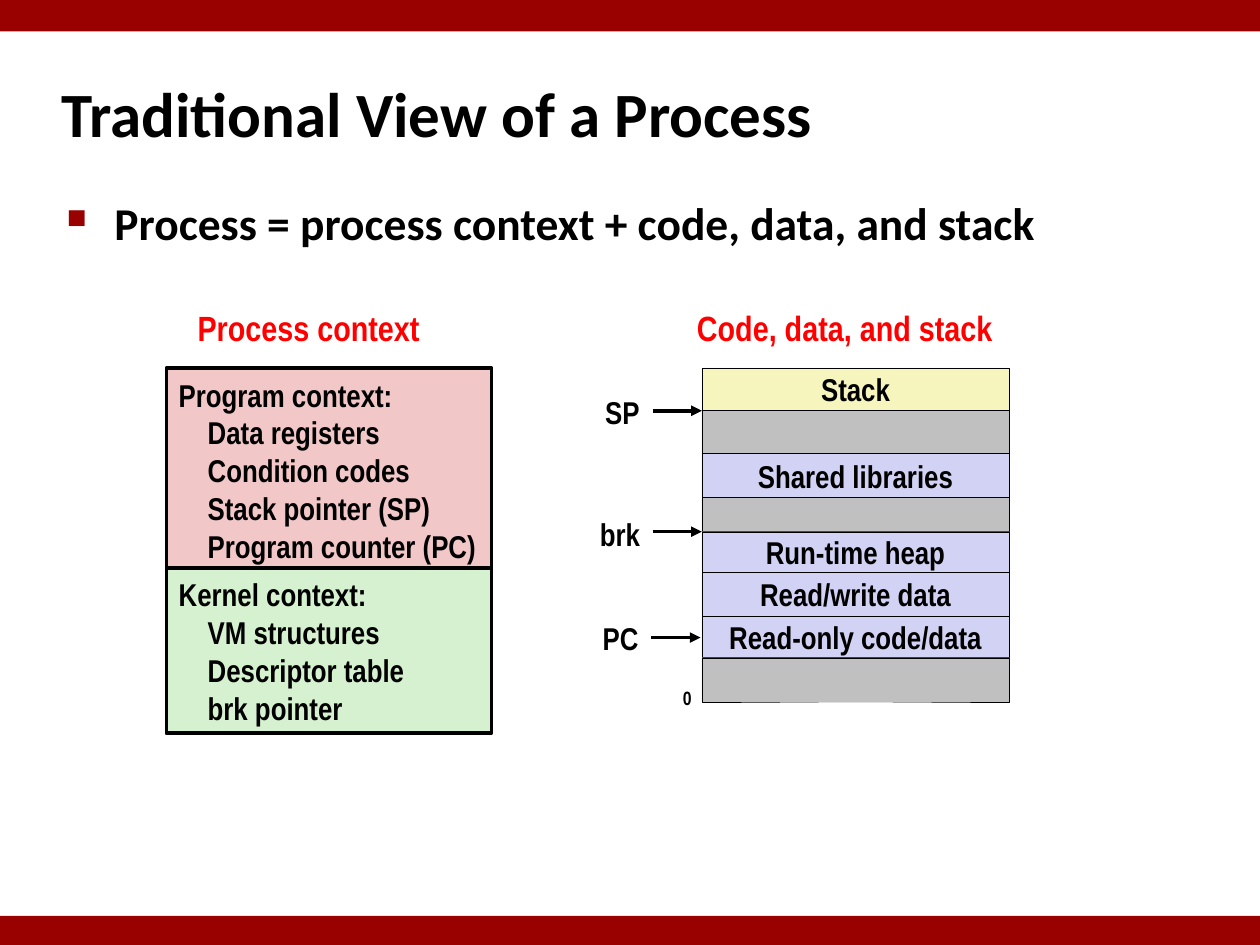
from pptx import Presentation
from pptx.dml.color import RGBColor
from pptx.enum.shapes import MSO_CONNECTOR, MSO_SHAPE
from pptx.enum.text import MSO_ANCHOR, MSO_AUTO_SIZE, PP_ALIGN
from pptx.util import Inches, Pt
from pptx.oxml import parse_xml
from pptx.oxml.ns import nsdecls
from lxml import etree


def write(shape, lines, size, font="Arial Narrow", color="000000",
          align=PP_ALIGN.CENTER, anchor=MSO_ANCHOR.MIDDLE, wrap=False):
    frame = shape.text_frame
    frame.text = "\n".join(lines)
    frame.word_wrap = wrap
    frame.auto_size = MSO_AUTO_SIZE.NONE
    frame.vertical_anchor = anchor
    for paragraph in frame.paragraphs:
        paragraph.alignment = align
        paragraph.font.name = font
        paragraph.font.size = Pt(size)
        paragraph.font.bold = True
        paragraph.font.color.rgb = RGBColor.from_string(color)


def add_box(left, top, width, height, fill, line_width=None):
    shape = slide.shapes.add_shape(
        MSO_SHAPE.RECTANGLE, Inches(left), Inches(top), Inches(width), Inches(height))
    shape.shadow.inherit = False
    shape.fill.solid()
    shape.fill.fore_color.rgb = RGBColor.from_string(fill)
    if line_width:
        shape.line.color.rgb = RGBColor.from_string("000000")
        shape.line.width = Pt(line_width)
    else:
        shape.line.fill.background()
    return shape


presentation = Presentation()
presentation.slide_width = Inches(10)
presentation.slide_height = Inches(7.5)
slide = presentation.slides.add_slide(presentation.slide_layouts[5])

for top, height in [(0, 0.25), (7.27, 0.23)]:
    add_box(0, top, 10, height, "990000")

title = slide.shapes.title
title.left, title.top = Inches(0.39), Inches(0.48)
title.width, title.height = Inches(8.3), Inches(0.83)
write(title, ["Traditional View of a Process"], 36, "Calibri",
      align=PP_ALIGN.LEFT, wrap=True)

body = slide.shapes.add_textbox(Inches(0.43), Inches(1.5), Inches(8.64), Inches(5.44))
body.text_frame.text = "Process = process context + code, data, and stack"
properties = body.text_frame.paragraphs[0]._p.get_or_add_pPr()
properties.set("marL", str(Inches(0.38)))
properties.set("indent", str(-Inches(0.38)))
for bullet in ['<a:buClr %s><a:srgbClr val="990000"/></a:buClr>',
               '<a:buSzPct %s val="60000"/>',
               '<a:buChar %s char="■"/>']:
    properties.append(parse_xml(bullet % nsdecls("a")))
paragraph = body.text_frame.paragraphs[0]
paragraph.font.name = "Calibri"
paragraph.font.size = Pt(26)
paragraph.font.bold = True
paragraph.font.color.rgb = RGBColor.from_string("000000")
body.text_frame.word_wrap = True

labels = [
    ("Process context", 1.46, 2.38, 1.98, 0.44, 20, "FF0000"),
    ("Code, data, and stack", 5.42, 2.38, 2.57, 0.44, 20, "FF0000"),
    ("SP", 4.7, 3.07, 0.48, 0.4, 18, "000000"),
    ("brk", 4.66, 4.04, 0.52, 0.4, 18, "000000"),
    ("PC", 4.68, 4.86, 0.49, 0.4, 18, "000000"),
    ("0", 5.32, 5.39, 0.27, 0.29, 11, "000000"),
]
for text, left, top, width, height, size, color in labels:
    label = slide.shapes.add_textbox(
        Inches(left), Inches(top), Inches(width), Inches(height))
    write(label, [text], size, color=color)

contexts = [
    (2.92, 1.62, "F1C7C7", ["Program context:", "Data registers", "Condition codes",
                            "Stack pointer (SP)", "Program counter (PC)"]),
    (4.51, 1.31, "D5F1CF", ["Kernel context:", "VM structures", "Descriptor table",
                            "brk pointer"]),
]
for top, height, fill, lines in contexts:
    context = add_box(1.32, top, 2.58, height, fill, 2)
    write(context, lines, 18, align=PP_ALIGN.LEFT, wrap=True)
    context.text_frame.margin_right = 0
    for paragraph in context.text_frame.paragraphs[1:]:
        paragraph._p.get_or_add_pPr().set("marL", str(Inches(0.23)))

segments = [
    (2.92, "F6F5BD", "Stack"),
    (3.26, "C0C0C0", ""),
    (3.6, "D2D2F4", "Shared libraries"),
    (3.95, "C0C0C0", ""),
    (4.22, "D2D2F4", "Run-time heap"),
    (4.54, "D2D2F4", "Read/write data"),
    (4.89, "D2D2F4", "Read-only code/data"),
    (5.22, "C0C0C0", ""),
]
bottoms = [top for top, fill, text in segments[1:]] + [5.57]
for (top, fill, text), bottom in zip(segments, bottoms):
    segment = add_box(5.57, top, 2.44, bottom - top, fill, 0.25)
    if text:
        write(segment, [text], 18)

for left, top in [(5.18, 3.26), (5.18, 4.22), (5.17, 5.06)]:
    arrow = slide.shapes.add_connector(
        MSO_CONNECTOR.STRAIGHT, Inches(left), Inches(top), Inches(left + 0.39), Inches(top))
    arrow.line.color.rgb = RGBColor.from_string("000000")
    arrow.line.width = Pt(2)
    arrow.line._get_or_add_ln().append(
        parse_xml('<a:tailEnd %s type="triangle"/>' % nsdecls("a")))
    etree.SubElement(
        arrow._element.spPr,
        "{http://schemas.openxmlformats.org/drawingml/2006/main}effectLst")

presentation.save("out.pptx")
